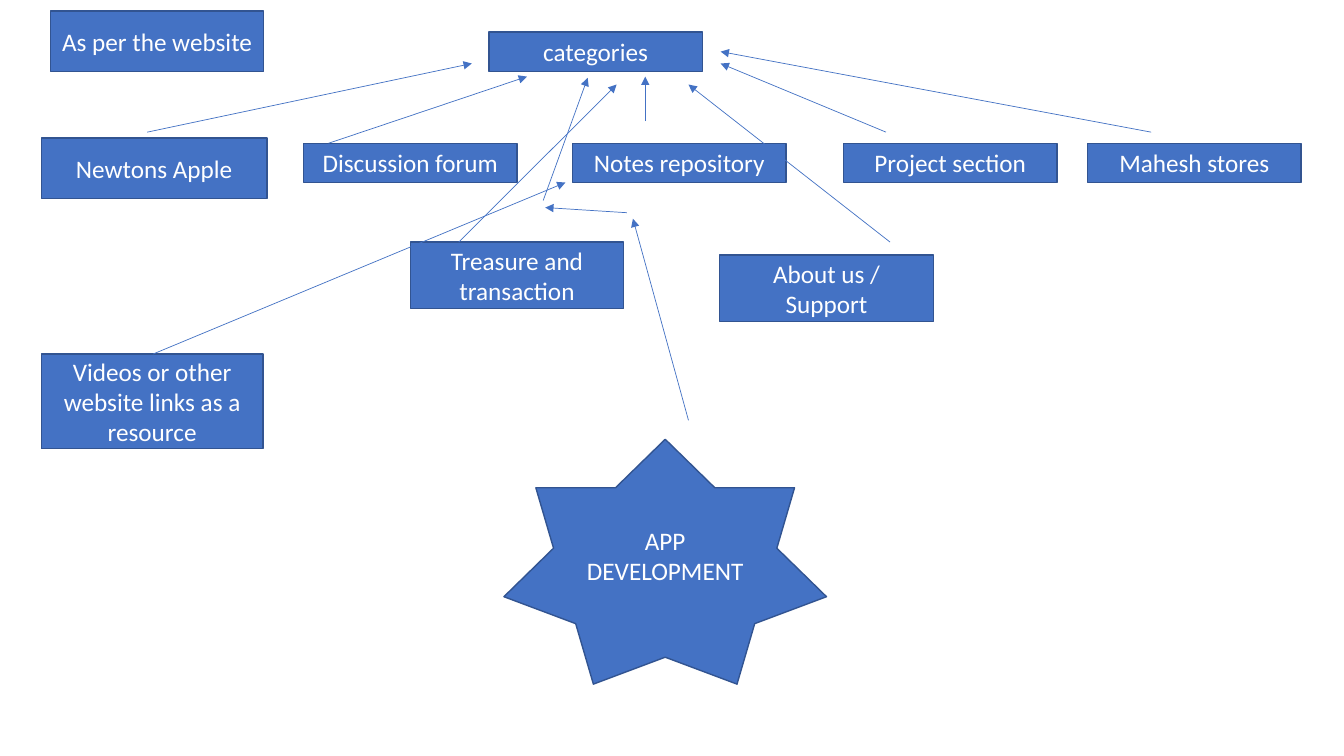
from dataclasses import dataclass

from lxml import etree
from pptx import Presentation
from pptx.dml.color import RGBColor
from pptx.enum.shapes import MSO_CONNECTOR, MSO_SHAPE
from pptx.enum.text import MSO_ANCHOR, PP_ALIGN
from pptx.oxml.ns import qn
from pptx.slide import Slide
from pptx.util import Cm, Pt

RECTANGLE = MSO_SHAPE.RECTANGLE
STAR = MSO_SHAPE.STAR_7_POINT
STRAIGHT = MSO_CONNECTOR.STRAIGHT
MIDDLE = MSO_ANCHOR.MIDDLE
CENTER = PP_ALIGN.CENTER

COLORS = {"fill": "4472C4", "border": "325491", "text": "FFFFFF"}
FONT_FORMAT = {"name": "Calibri", "size": Pt(18)}
FRAME_FORMAT = {"word_wrap": True, "vertical_anchor": MIDDLE}

# Lengths in centimetres
BOX_WIDTH, BOX_HEIGHT = 5.38, 0.99
TALL_HEIGHT, TWO_LINE_HEIGHT = 1.52, 1.68
ROW_TOP = 3.61


@dataclass
class Node:
    text: str
    left: float
    top: float
    width: float = BOX_WIDTH
    height: float = BOX_HEIGHT
    outline: MSO_SHAPE = RECTANGLE


@dataclass
class Arrow:
    start: tuple[float, float]
    end: tuple[float, float]


NODES = [
    Node("As per the website", 1.27, 0.28, height=TALL_HEIGHT),
    Node("categories", 12.32, 0.81),
    # Category row
    Node("Newtons Apple", 1.04, 3.48, 5.69, TALL_HEIGHT),
    Node("Discussion forum", 7.65, ROW_TOP),
    Node("Notes repository", 14.43, ROW_TOP),
    Node("Project section", 21.26, ROW_TOP),
    Node("Mahesh stores", 27.41, ROW_TOP),
    # Lower categories
    Node("Treasure and transaction", 10.34, 6.1, height=TWO_LINE_HEIGHT),
    Node("About us / Support", 18.14, 6.43, height=TWO_LINE_HEIGHT),
    Node("Videos or other website links as a resource", 1.04, 8.92, 5.59, 2.39),
    Node("APP DEVELOPMENT", 12.7, 11.07, 8.13, 6.17, STAR),
]

ARROWS = [
    # Category row to categories
    Arrow((3.71, 3.33), (11.89, 1.6)),
    Arrow((8.28, ROW_TOP), (13.28, 1.93)),
    Arrow((16.26, 3.05), (16.26, 1.93)),
    Arrow((22.33, 3.33), (18.16, 1.6)),
    Arrow((29.01, 3.33), (18.16, 1.3)),
    # Lower categories
    Arrow((11.56, 6.1), (15.54, 2.13)),
    Arrow((22.43, 6.1), (17.35, 2.13)),
    Arrow((3.86, 8.92), (14.25, 4.6)),
    # App development to categories in three steps
    Arrow((17.35, 10.59), (15.95, 5.51)),
    Arrow((15.8, 5.36), (13.74, 5.23)),
    Arrow((13.69, 5.05), (14.81, 1.96)),
]


def color(name: str) -> RGBColor:
    return RGBColor.from_string(COLORS[name])


def apply_format(target: object, values: dict) -> None:
    for name, value in values.items():
        setattr(target, name, value)


def draw_node(page: Slide, node: Node) -> None:
    box = page.shapes.add_shape(
        node.outline, Cm(node.left), Cm(node.top), Cm(node.width), Cm(node.height))
    box.shadow.inherit = False
    box.fill.solid()
    box.fill.fore_color.rgb = color("fill")
    box.line.color.rgb = color("border")
    box.line.width = Pt(1)
    apply_format(box.text_frame, FRAME_FORMAT)
    para = box.text_frame.paragraphs[0]
    para.alignment = CENTER
    span = para.add_run()
    span.text = node.text
    apply_format(span.font, FONT_FORMAT)
    span.font.color.rgb = color("text")


def draw_arrow(page: Slide, arrow: Arrow) -> None:
    points = [Cm(value) for value in arrow.start + arrow.end]
    connector = page.shapes.add_connector(STRAIGHT, *points)
    connector.line.color.rgb = color("fill")
    connector.line.width = Pt(0.5)
    etree.SubElement(connector.line._get_or_add_ln(), qn("a:tailEnd"), type="triangle")
    etree.SubElement(connector._element.spPr, qn("a:effectLst"))


deck = Presentation()
deck.slide_width, deck.slide_height = Cm(33.87), Cm(19.05)
page = deck.slides.add_slide(deck.slide_layouts[6])

for node in NODES:
    draw_node(page, node)
for arrow in ARROWS:
    draw_arrow(page, arrow)

deck.save("out.pptx")
